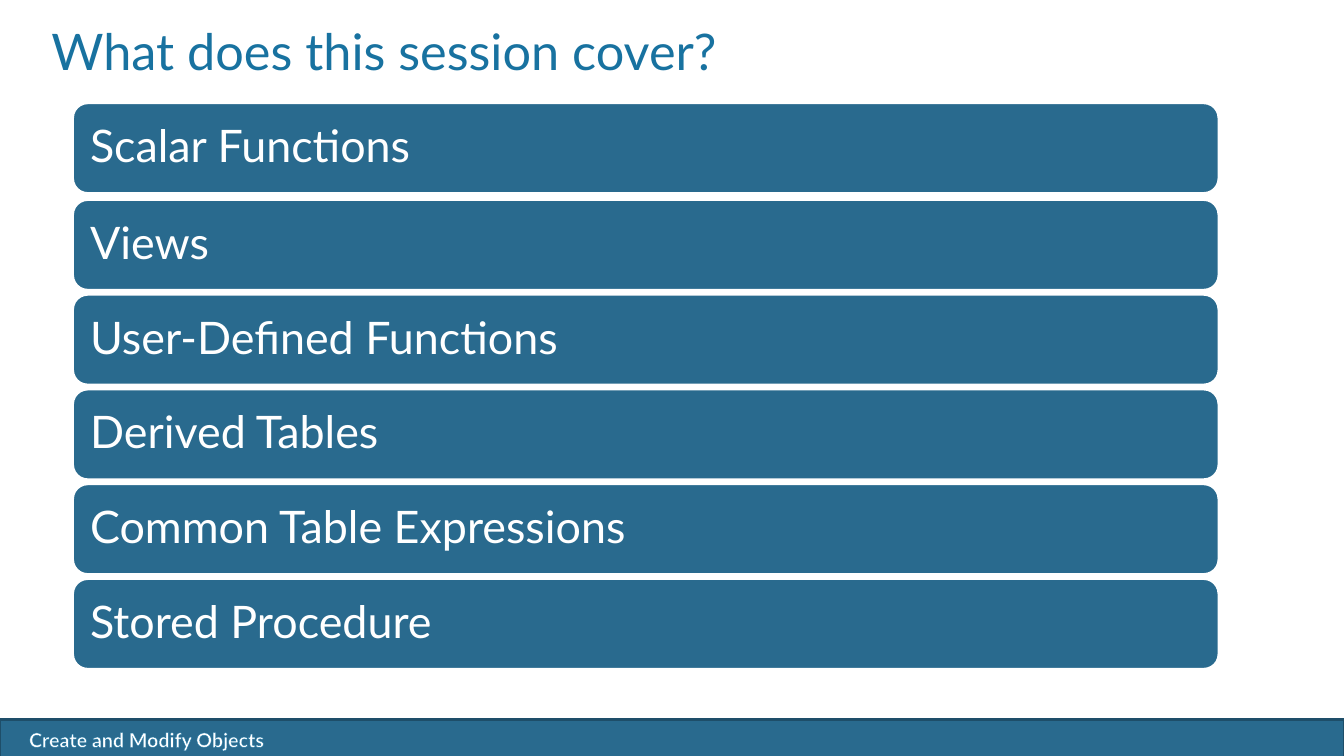
from lxml import etree
from pptx import Presentation
from pptx.dml.color import RGBColor
from pptx.enum import shapes as sh, text as tx
from pptx.oxml import ns
from pptx.util import Inches, Pt

HUES = {"bar": "296A8E", "edge": "1E4E69", "title": "1872A0", "white": "FFFFFF"}
TOPICS = ["Scalar Functions", "Views", "User-Defined Functions",
          "Derived Tables", "Common Table Expressions", "Stored Procedure"]
# The first gap is a little wider than the others.
TOPS = [1.02] + [1.98 + 0.94 * n for n in range(len(TOPICS) - 1)]


def hue(name):
    return RGBColor.from_string(HUES[name])


def write(frame, words, size, color="white", bold=False, font="Lato",
          space=None, anchor=tx.MSO_ANCHOR.TOP, inset=None):
    """Fill a text frame with one left-aligned line and return its run."""
    frame.word_wrap = True
    frame.auto_size = tx.MSO_AUTO_SIZE.NONE
    frame.vertical_anchor = anchor
    if inset is not None:
        frame.margin_left = frame.margin_right = Inches(inset)
        frame.margin_top = frame.margin_bottom = Inches(inset)
    para = frame.paragraphs[0]
    para.alignment = tx.PP_ALIGN.LEFT
    if space is not None:
        para.line_spacing = space
    run = para.add_run()
    run.text = words
    run.font.name = font
    run.font.size = Pt(size)
    run.font.bold = bold
    run.font.color.rgb = hue(color)
    return run


def outline(run, color, width):
    """Draw a line round the letters of a run."""
    line = etree.Element(ns.qn("a:ln"), w=str(Pt(width)))
    fill = etree.SubElement(line, ns.qn("a:solidFill"))
    etree.SubElement(fill, ns.qn("a:srgbClr"), val=HUES[color])
    run.font._element.insert(0, line)


class Deck:
    def __init__(self):
        self.file = Presentation()
        self.file.slide_width = Inches(13.33)
        self.file.slide_height = Inches(7.5)
        self.slide = self.file.slides.add_slide(self.file.slide_layouts[5])

    def title(self, words, *box):
        item = self.slide.shapes.title
        item.left, item.top, item.width, item.height = map(Inches, box)
        write(item.text_frame, words, 36, color="title", space=Pt(35))

    def block(self, kind, edge, *box):
        item = self.slide.shapes.add_shape(kind, *map(Inches, box))
        item.shadow.inherit = False
        item.fill.solid()
        item.fill.fore_color.rgb = hue("bar")
        item.line.color.rgb = hue(edge)
        item.line.width = Pt(2)
        return item

    def topic(self, words, top):
        item = self.block(sh.MSO_SHAPE.ROUNDED_RECTANGLE, "white",
                          0.72, top, 11.37, 0.9)
        write(item.text_frame, words, 32, space=0.9,
              anchor=tx.MSO_ANCHOR.MIDDLE, inset=0.13)

    def footer(self, words):
        self.block(sh.MSO_SHAPE.RECTANGLE, "edge", 0, 7.14, 13.33, 0.4)
        box = self.slide.shapes.add_textbox(
            *map(Inches, (0.19, 7.17, 6.06, 0.34)))
        outline(write(box.text_frame, words, 14, bold=True), "title", 0.8)


def main():
    deck = Deck()
    deck.footer("Create and Modify Objects")
    deck.title("What does this session cover?", 0.41, 0.26, 12, 1.25)
    for words, top in zip(TOPICS, TOPS):
        deck.topic(words, top)
    deck.file.save("out.pptx")


if __name__ == "__main__":
    main()
